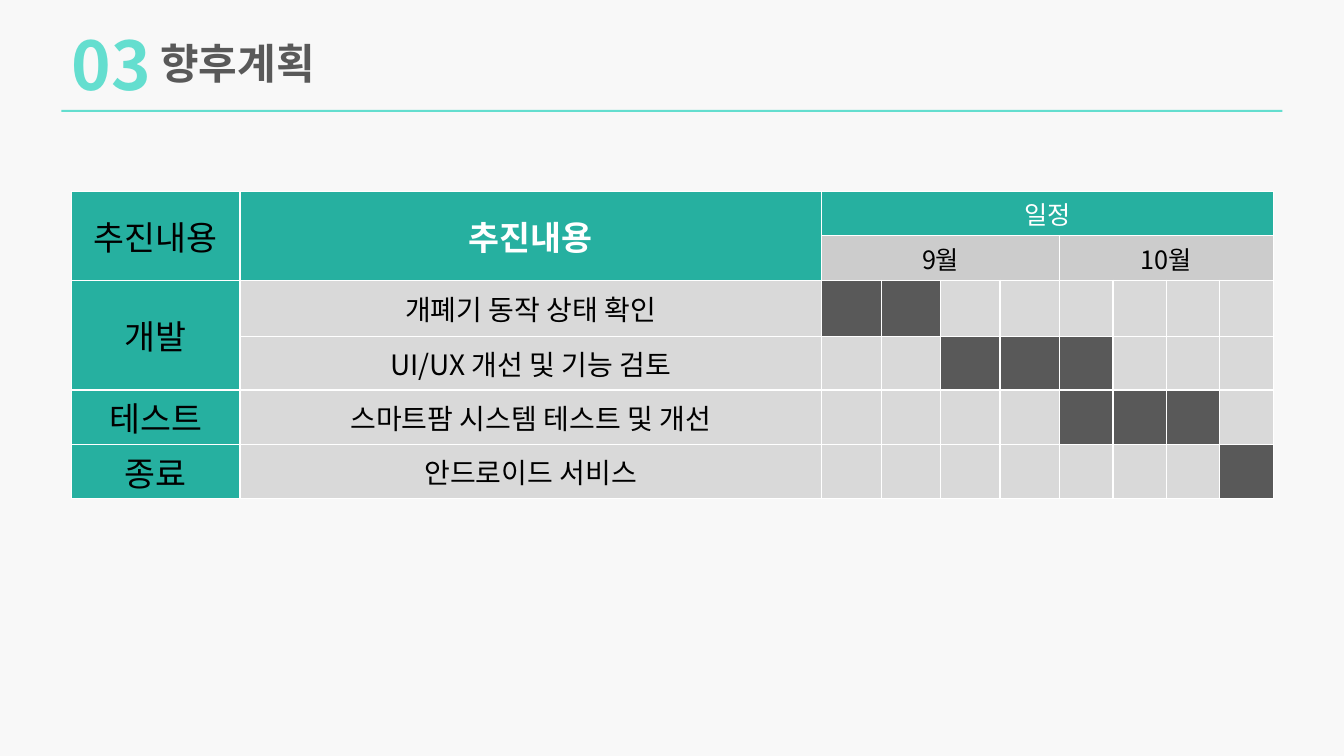
from pptx import Presentation
from pptx.dml.color import RGBColor
from pptx.enum.shapes import MSO_SHAPE
from pptx.enum.text import MSO_ANCHOR, PP_ALIGN
from pptx.oxml import parse_xml
from pptx.oxml.ns import nsdecls, qn
from pptx.util import Inches, Pt

FONT = "Noto Sans CJK KR"
MINT, TEAL, DARK = "64DECF", "26B0A0", "595959"
PALE, GREY, WHITE, BLACK = "D9D9D9", "CCCCCC", "FFFFFF", "000000"

# Grid of the schedule: two label columns, then four weeks per month
COLUMNS = [1.67, 5.77] + [0.59] * 4 + [0.53] * 4
ROWS = [0.44, 0.44, 0.56, 0.53, 0.54, 0.54]
FIRST_WEEK, FIRST_TASK = 2, 2

# Row, column, row span, column span, text, fill, format
HEADINGS = [
    (0, 0, 2, 1, "추진내용", TEAL, dict(size=24)),
    (0, 1, 2, 1, "추진내용", TEAL, dict(size=24, color=WHITE, bold=True)),
    (0, 2, 1, 8, "일정", TEAL, dict(size=18, color=WHITE)),
    (1, 2, 1, 4, "9월", GREY, dict(size=18)),
    (1, 6, 1, 4, "10월", GREY, dict(size=18)),
    (2, 0, 2, 1, "개발", TEAL, dict(size=24)),
    (4, 0, 1, 1, "테스트", TEAL, dict(size=24)),
    (5, 0, 1, 1, "종료", TEAL, dict(size=24)),
]
# Task and its active weeks, counted from 0
TASKS = [
    ("개폐기 동작 상태 확인", range(0, 2)),
    ("UI/UX 개선 및 기능 검토", range(2, 5)),
    ("스마트팜 시스템 테스트 및 개선", range(4, 7)),
    ("안드로이드 서비스", range(7, 8)),
]


def paint(fill, color):
    fill.solid()
    fill.fore_color.rgb = RGBColor.from_string(color)


def write(tf, text, size=18, color=BLACK, bold=False, align=PP_ALIGN.CENTER):
    p = tf.paragraphs[0]
    p.alignment = align
    r = p.add_run()
    r.text = text
    r.font.name, r.font.size, r.font.bold = FONT, Pt(size), bold
    r.font.color.rgb = RGBColor.from_string(color)
    latin = r.font._element.find(qn("a:latin"))
    latin.addnext(parse_xml(f'<a:ea {nsdecls("a")} typeface="{FONT}"/>'))


def place(sp, left, top, width, height):
    sp.left, sp.top = Inches(left), Inches(top)
    sp.width, sp.height = Inches(width), Inches(height)


def heading_text(sp, box, text, **fmt):
    place(sp, *box)
    tf = sp.text_frame
    tf.word_wrap, tf.vertical_anchor = True, MSO_ANCHOR.MIDDLE
    tf.margin_left = Inches(0.1)
    tf.margin_top = tf.margin_right = tf.margin_bottom = 0
    write(tf, text, align=PP_ALIGN.LEFT, bold=True, **fmt)


def style_cell(cell, color):
    paint(cell.fill, color)
    cell.vertical_anchor = MSO_ANCHOR.MIDDLE
    cell.margin_left = cell.margin_right = Inches(0.07)
    cell.margin_top = cell.margin_bottom = 0
    tcPr = cell._tc.get_or_add_tcPr()
    for i, side in enumerate("LRTB"):
        tcPr.insert(i, parse_xml(
            f'<a:ln{side} {nsdecls("a")} w="{Pt(1)}"><a:solidFill>'
            f'<a:srgbClr val="{WHITE}"/></a:solidFill></a:ln{side}>'))


def add_schedule(s):
    tbl = s.shapes.add_table(len(ROWS), len(COLUMNS), Inches(0.71), Inches(1.9),
                             Inches(sum(COLUMNS)), Inches(sum(ROWS))).table
    tbl.first_row = tbl.horz_banding = False
    for col, width in zip(tbl.columns, COLUMNS):
        col.width = Inches(width)
    for row, height in zip(tbl.rows, ROWS):
        row.height = Inches(height)

    # Headings and phases
    for row, col, down, across, text, color, fmt in HEADINGS:
        for r in range(row, row + down):
            for c in range(col, col + across):
                style_cell(tbl.cell(r, c), color)
        cell = tbl.cell(row, col)
        if down * across > 1:
            cell.merge(tbl.cell(row + down - 1, col + across - 1))
        write(cell.text_frame, text, **fmt)

    # Tasks and their weeks
    for row, (task, weeks) in enumerate(TASKS, FIRST_TASK):
        style_cell(tbl.cell(row, 1), PALE)
        write(tbl.cell(row, 1).text_frame, task, size=20)
        for week in range(len(COLUMNS) - FIRST_WEEK):
            style_cell(tbl.cell(row, FIRST_WEEK + week), DARK if week in weeks else PALE)


def main():
    prs = Presentation()
    prs.slide_width, prs.slide_height = Inches(13.33), Inches(7.5)
    s = prs.slides.add_slide(prs.slide_layouts[5])
    paint(s.background.fill, "F8F8F8")

    # Title, section number and rule
    heading_text(s.shapes.title, (1.49, 0.33, 5.67, 0.59), "향후계획", size=30, color=DARK)
    heading_text(s.shapes.add_textbox(0, 0, 0, 0), (0.61, 0.18, 0.98, 0.91), "03",
                 size=48, color=MINT)
    rule = s.shapes.add_shape(MSO_SHAPE.RECTANGLE, 0, 0, 0, 0)
    place(rule, 0.61, 1.09, 12.11, 0.02)
    paint(rule.fill, MINT)
    rule.line.fill.background()
    rule.shadow.inherit = False

    add_schedule(s)
    prs.save("out.pptx")


if __name__ == "__main__":
    main()
